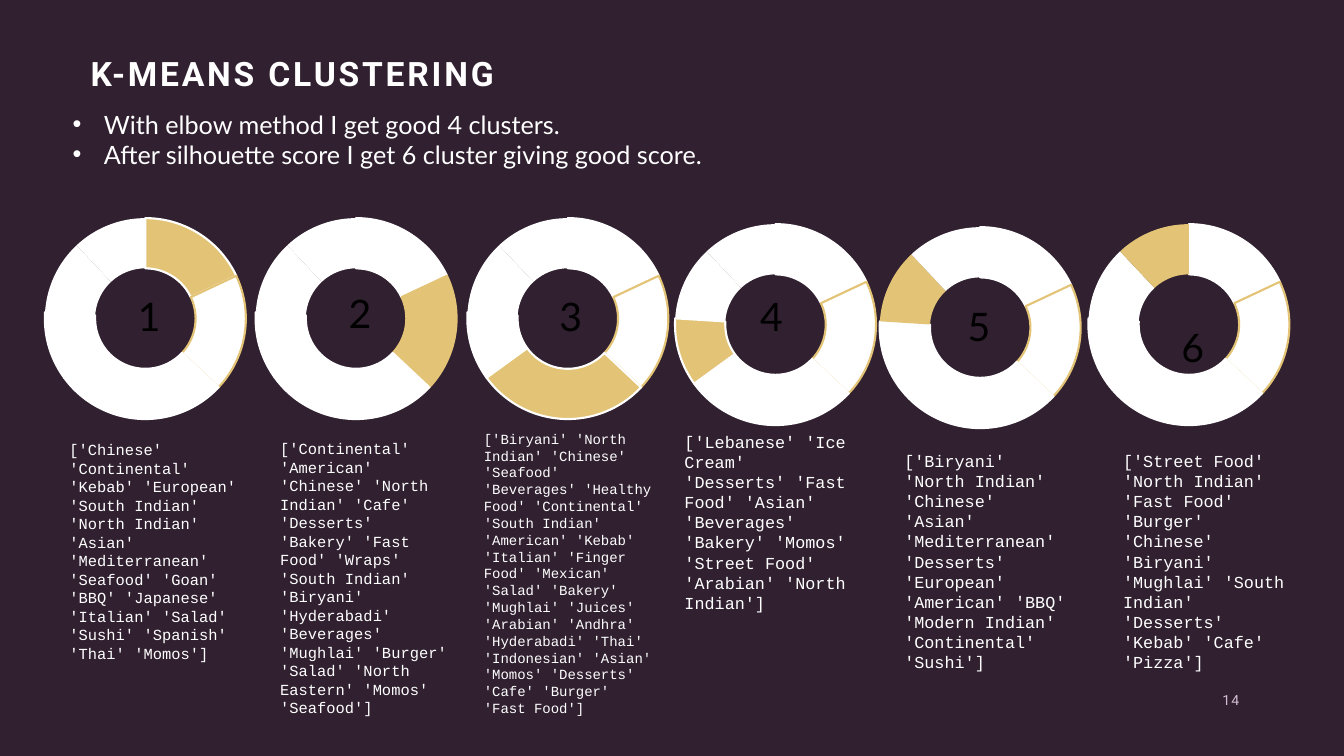
from lxml.etree import SubElement
from pptx import Presentation
from pptx.chart.data import CategoryChartData
from pptx.dml.color import RGBColor
from pptx.enum.chart import XL_CHART_TYPE
from pptx.enum.text import MSO_ANCHOR, MSO_AUTO_SIZE, PP_ALIGN
from pptx.oxml import parse_xml
from pptx.oxml.ns import nsdecls, qn
from pptx.util import Inches, Pt

PLUM = RGBColor(0x30, 0x20, 0x30)
WHITE = RGBColor(0xFF, 0xFF, 0xFF)
GOLD = RGBColor(0xE3, 0xC3, 0x75)
BLACK = RGBColor(0, 0, 0)
MAUVE = RGBColor(0xD4, 0xBE, 0xD4)

SHARES = (18, 19, 28, 11, 12, 12)
# Slice outlines; the last two slices have none
OUTLINES = (WHITE, GOLD, WHITE, WHITE, None, None)

# Ring position, number position, list position, list size, cuisines
CLUSTERS = [
    ((-0.2, 2.04), (1.27, 2.9), (0.59, 4.32, 2.32), 11,
     "['Chinese' 'Continental' 'Kebab' 'European' 'South Indian' 'North Indian' "
     "'Asian' 'Mediterranean' 'Seafood' 'Goan' 'BBQ' 'Japanese' 'Italian' 'Salad' "
     "'Sushi' 'Spanish' 'Thai' 'Momos']"),
    ((1.89, 2.04), (3.36, 2.87), (2.68, 4.31, 2.88), 11,
     "['Continental' 'American' 'Chinese' 'North Indian' 'Cafe' 'Desserts' 'Bakery' "
     "'Fast Food' 'Wraps' 'South Indian' 'Biryani' 'Hyderabadi' 'Beverages' "
     "'Mughlai' 'Burger' 'Salad' 'North Eastern' 'Momos' 'Seafood']"),
    ((3.99, 2.04), (5.45, 2.9), (4.7, 4.22, 2.96), 10,
     "['Biryani' 'North Indian' 'Chinese' 'Seafood' 'Beverages' 'Healthy Food' "
     "'Continental' 'South Indian' 'American' 'Kebab' 'Italian' 'Finger Food' "
     "'Mexican' 'Salad' 'Bakery' 'Mughlai' 'Juices' 'Arabian' 'Andhra' 'Hyderabadi' "
     "'Thai' 'Indonesian' 'Asian' 'Momos' 'Desserts' 'Cafe' 'Burger' 'Fast Food']"),
    ((6.05, 2.1), (7.44, 2.9), (6.69, 4.23, 1.92), 12,
     "['Lebanese' 'Ice Cream' 'Desserts' 'Fast Food' 'Asian' 'Beverages' 'Bakery' "
     "'Momos' 'Street Food' 'Arabian' 'North Indian']"),
    ((8.08, 2.13), (9.5, 3), (8.87, 4.42, 2.32), 12,
     "['Biryani' 'North Indian' 'Chinese' 'Asian' 'Mediterranean' 'Desserts' "
     "'European' 'American' 'BBQ' 'Modern Indian' 'Continental' 'Sushi']"),
    ((10.15, 2.1), (11.62, 3.21), (11.04, 4.42, 2.32), 12,
     "['Street Food' 'North Indian' 'Fast Food' 'Burger' 'Chinese' 'Biryani' "
     "'Mughlai' 'South Indian' 'Desserts' 'Kebab' 'Cafe' 'Pizza']"),
]

PLOT_LAYOUT = (
    f'<c:layout {nsdecls("c")}><c:manualLayout><c:layoutTarget val="inner"/>'
    '<c:xMode val="edge"/><c:yMode val="edge"/><c:x val="0.187"/><c:y val="0.054"/>'
    '<c:w val="0.578"/><c:h val="0.867"/></c:manualLayout></c:layout>'
)


class ClusterPage:
    """Style and current slide, with one method per kind of element."""

    def __init__(self, deck):
        self.page = deck.slides.add_slide(deck.slide_layouts[1])
        self.page.background.fill.solid()
        self.page.background.fill.fore_color.rgb = PLUM

    def style(self, para, size, font="Lato", color=WHITE, bold=False):
        para.font.size = Pt(size)
        para.font.name = font
        para.font.color.rgb = color
        para.font.bold = bold

    def place(self, shape, left, top, width, height):
        shape.left, shape.top = Inches(left), Inches(top)
        shape.width, shape.height = Inches(width), Inches(height)

    def spread(self, para, points):
        for span in para.runs:
            span._r.get_or_add_rPr().set("spc", str(points * 100))

    def title(self, text, *area):
        shape = self.page.shapes.title
        self.place(shape, *area)
        frame = shape.text_frame
        frame.text = text
        frame.auto_size = MSO_AUTO_SIZE.NONE
        frame.vertical_anchor = MSO_ANCHOR.MIDDLE
        para = frame.paragraphs[0]
        para.alignment = PP_ALIGN.CENTER
        para.line_spacing = 0.9
        self.style(para, 24, "Roboto", bold=True)
        self.spread(para, 2)

    def bullets(self, lines, *area):
        shape = self.page.placeholders[1]
        self.place(shape, *area)
        frame = shape.text_frame
        frame.text = "\n".join(lines)
        frame.auto_size = MSO_AUTO_SIZE.NONE
        for para in frame.paragraphs:
            para.space_before = Pt(0)
            self.style(para, 18)
            properties = para._p.get_or_add_pPr()
            properties.set("marL", str(Inches(0.31)))
            properties.set("indent", str(Inches(-0.31)))
            SubElement(properties, qn("a:buFont")).set("typeface", "Arial")
            SubElement(properties, qn("a:buChar")).set("char", "•")

    def text(self, text, area, size, font="Lato", color=WHITE):
        box = self.page.shapes.add_textbox(*map(Inches, area))
        frame = box.text_frame
        frame.word_wrap = True
        frame.text = text
        self.style(frame.paragraphs[0], size, font, color)
        return frame

    def ring(self, highlighted, left, top):
        data = CategoryChartData()
        data.categories = [str(number) for number in range(1, len(SHARES) + 1)]
        data.add_series("Series 1", SHARES)
        chart = self.page.shapes.add_chart(
            XL_CHART_TYPE.DOUGHNUT, Inches(left), Inches(top),
            Inches(3.45), Inches(2.3), data).chart
        chart.has_title = False
        chart.has_legend = False
        chart.font.name = "Lato"
        chart.font.size = Pt(10)
        chart.font.color.rgb = BLACK
        plot = chart.plots[0]
        plot.vary_by_categories = True
        for index, outline in enumerate(OUTLINES):
            form = plot.series[0].points[index].format
            form.fill.solid()
            form.fill.fore_color.rgb = GOLD if index == highlighted else WHITE
            if outline is None:
                form.line.fill.background()
            else:
                form.line.width = Pt(1.5)
                form.line.color.rgb = outline
        # Hole size and fixed plot area
        area = chart._chartSpace.find(".//" + qn("c:plotArea"))
        area.find(".//" + qn("c:holeSize")).set("val", "75")
        for layout in area.findall(qn("c:layout")):
            area.remove(layout)
        area.insert(0, parse_xml(PLOT_LAYOUT))


def main():
    deck = Presentation()
    deck.slide_width, deck.slide_height = Inches(13.33), Inches(7.5)
    page = ClusterPage(deck)

    # Heading and findings
    page.title("K-MEANS CLUSTERING", -0.31, 0.4, 6.42, 0.7)
    page.bullets(["With elbow method I get good 4 clusters.",
                  "After silhouette score I get 6 cluster giving good score."],
                 0.62, 1.03, 9.39, 1.01)

    # One ring, number and cuisine list per cluster
    for index, (ring, number, listing, size, cuisines) in enumerate(CLUSTERS):
        page.ring(index, *ring)
        para = page.text(str(index + 1), (*number, 1.76, 1.26), 28,
                         color=BLACK).paragraphs[0]
        para.line_spacing = 0.9
        para.space_before = Pt(10)
        left, top, height = listing
        frame = page.text(cuisines, (left, top, 1.88, height), size, "Courier New")
        frame.auto_size = MSO_AUTO_SIZE.SHAPE_TO_FIT_TEXT

    # Page number
    frame = page.text("14", (9.39, 6.74, 3, 0.4), 10, "Roboto", MAUVE)
    frame.vertical_anchor = MSO_ANCHOR.MIDDLE
    frame.paragraphs[0].alignment = PP_ALIGN.RIGHT
    page.spread(frame.paragraphs[0], 1)

    deck.save("out.pptx")


if __name__ == "__main__":
    main()
